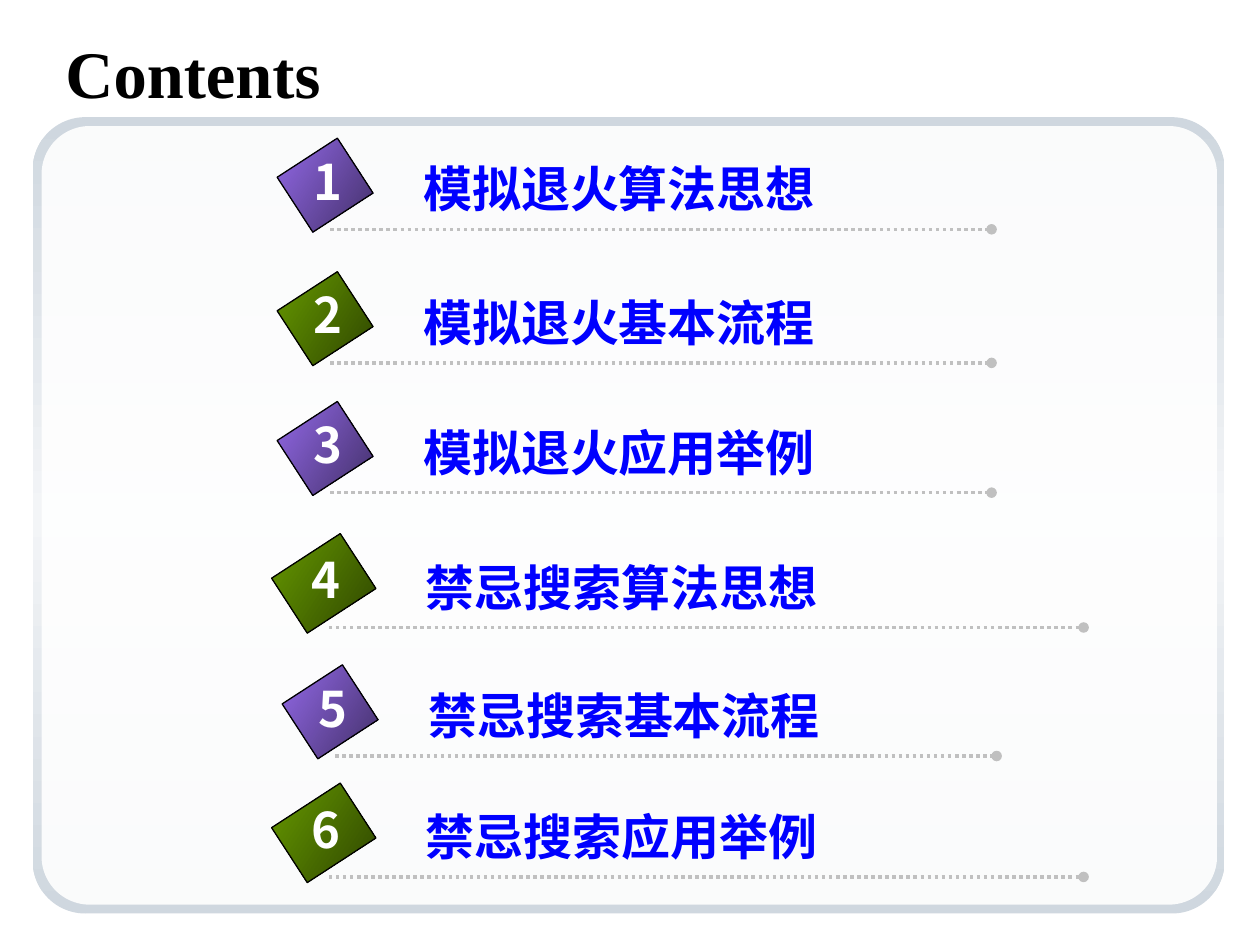
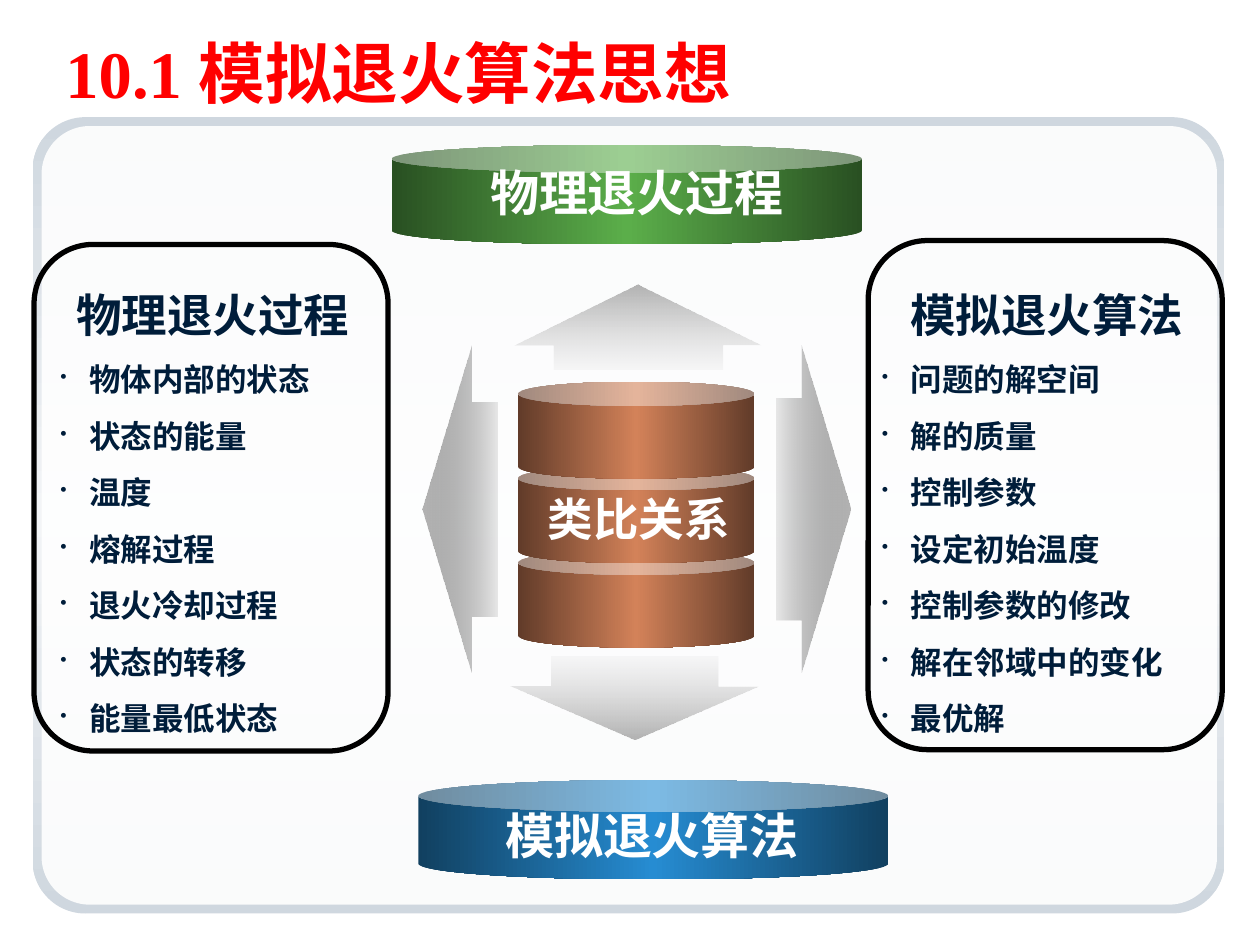
import pptx
import pptx.util
import pptx.dml.color
import pptx.enum.dml
import pptx.enum.shapes
import pptx.enum.text
import pptx.oxml
import pptx.oxml.ns
from lxml import etree

Inches = pptx.util.Inches
Pt = pptx.util.Pt
SHAPE = pptx.enum.shapes.MSO_SHAPE
ALIGN = pptx.enum.text.PP_ALIGN
ANCHOR = pptx.enum.text.MSO_ANCHOR
qn = pptx.oxml.ns.qn

COLORS = {
    "black": "000000",
    "white": "FFFFFF",
    "red": "FF0000",
    "blue": "0000FF",
    "navy": "001D3A",
    "rule": "C0C0C0",
}
GRADIENTS = {
    "frame": [(0, "CFD7DF", 100), (50, "F3F5F7", 100), (100, "CFD7DF", 100)],
    "veil": [(0, "FFFFFF", 90), (100, "FFFFFF", 90)],
    "purple": [(0, "9369E7", 100), (100, "43306A", 100)],
    "olive": [(0, "669900", 100), (100, "2F4600", 100)],
    "green": [(0, "295022", 100), (50, "5BAE4A", 100), (100, "295022", 100)],
    "ocean": [(0, "114060", 100), (50, "268CD2", 100), (100, "114060", 100)],
    "copper": [(0, "613B29", 100), (50, "D38259", 100), (100, "613B29", 100)],
    "fade_in": [(0, "CDCDCD", 12), (100, "B2B2B2", 100)],
    "fade_out": [(0, "B2B2B2", 100), (100, "CDCDCD", 12)],
    "dark_fade_in": [(0, "525252", 12), (100, "B2B2B2", 100)],
    "dark_fade_out": [(0, "B2B2B2", 100), (100, "525252", 12)],
}
CJK_FONT = "Noto Sans CJK SC"

CONTENTS = [
    ("模拟退火算法思想", 2.62, 1.82),
    ("模拟退火基本流程", 2.62, 2.88),
    ("模拟退火应用举例", 2.62, 3.91),
    ("禁忌搜索算法思想", 2.61, 4.98),
    ("禁忌搜索基本流程", 2.66, 6.0),
    ("禁忌搜索应用举例", 2.61, 6.96),
]
WIDE_ROWS = (4, 6)

PHYSICAL = ["物体内部的状态", "状态的能量", "温度", "熔解过程",
            "退火冷却过程", "状态的转移", "能量最低状态"]
ALGORITHM = ["问题的解空间", "解的质量", "控制参数", "设定初始温度",
             "控制参数的修改", "解在邻域中的变化", "最优解"]


def rgb(name):
    return pptx.dml.color.RGBColor.from_string(COLORS[name])


def apply_format(target, values):
    for key, value in values.items():
        setattr(target, key, value)


class Builder:
    def __init__(self):
        self.deck = pptx.Presentation()
        self.deck.slide_width = Inches(10)
        self.deck.slide_height = Inches(7.5)
        self.page = None

    def new_page(self, title, color):
        self.page = self.deck.slides.add_slide(self.deck.slide_layouts[6])
        self.shape(SHAPE.ROUNDED_RECTANGLE, (0.26, 0.93, 9.46, 6.32),
                   "frame", 90, [0.066])
        self.shape(SHAPE.ROUNDED_RECTANGLE, (0.33, 1, 9.33, 6.18),
                   "veil", 90, [0.062])
        self.label(title, (0.52, 0.26, 9.13, 0.62), 38, color,
                   "Times New Roman", ALIGN.LEFT)

    def shape(self, kind, place, gradient=None, angle=0, adjustments=(),
              line_width=None, rotation=0):
        shape = self.page.shapes.add_shape(kind, *map(Inches, place))
        shape.shadow.inherit = False
        shape.rotation = rotation
        for index, value in enumerate(adjustments):
            shape.adjustments[index] = value
        shape.fill.background()
        if gradient:
            self.paint(shape, GRADIENTS[gradient], angle)
        if line_width:
            shape.line.color.rgb = rgb("black")
            shape.line.width = Pt(line_width)
        else:
            shape.line.fill.background()
        return shape

    def paint(self, shape, stops, angle):
        marks = "".join(
            f'<a:gs pos="{position * 1000}"><a:srgbClr val="{color}">'
            f'<a:alpha val="{alpha * 1000}"/></a:srgbClr></a:gs>'
            for position, color, alpha in stops)
        gradient = pptx.oxml.parse_xml(
            f'<a:gradFill {pptx.oxml.ns.nsdecls("a")} rotWithShape="0">'
            f'<a:gsLst>{marks}</a:gsLst>'
            f'<a:lin ang="{angle * 60000}" scaled="0"/></a:gradFill>')
        properties = shape._element.spPr
        properties.replace(properties.find(qn("a:noFill")), gradient)

    def text_box(self, place, anchor, margin=0):
        box = self.page.shapes.add_textbox(*map(Inches, place))
        apply_format(box.text_frame, {
            "word_wrap": True, "vertical_anchor": anchor,
            "margin_left": Inches(margin), "margin_right": Inches(margin),
            "margin_top": Inches(0.05), "margin_bottom": Inches(0.05)})
        return box.text_frame

    def add_span(self, para, text, size, color, font, east_font):
        span = para.add_run()
        span.text = text
        apply_format(span.font, {"size": Pt(size), "bold": True, "name": font})
        span.font.color.rgb = rgb(color)
        latin = span._r.rPr.find(qn("a:latin"))
        east = etree.Element(qn("a:ea"), typeface=east_font)
        latin.addnext(east)

    def label(self, text, place, size=28, color="white", font=CJK_FONT,
              align=ALIGN.CENTER):
        frame = self.text_box(place, ANCHOR.MIDDLE)
        para = frame.paragraphs[0]
        para.alignment = align
        self.add_span(para, text, size, color, font, CJK_FONT)

    def bullet_list(self, heading, items, place):
        frame = self.text_box(place, ANCHOR.TOP, 0.1)
        font = "DejaVu Sans"
        para = frame.paragraphs[0]
        para.alignment = ALIGN.CENTER
        self.add_span(para, heading, 26, "navy", font, font)
        for item in items:
            para = frame.add_paragraph()
            para.line_spacing = Pt(32.3)
            properties = para._p.get_or_add_pPr()
            properties.set("marL", str(Inches(0.23)))
            properties.set("indent", str(-Inches(0.23)))
            color = etree.SubElement(properties, qn("a:buClr"))
            etree.SubElement(color, qn("a:srgbClr"), val=COLORS["navy"])
            etree.SubElement(properties, qn("a:buSzPct"), val="60000")
            etree.SubElement(properties, qn("a:buChar"), char="•")
            self.add_span(para, item, 18, "navy", font, font)

    def dotted_rule(self, left, right, top):
        rule = self.page.shapes.add_connector(
            pptx.enum.shapes.MSO_CONNECTOR.STRAIGHT,
            Inches(left), Inches(top), Inches(right), Inches(top))
        rule.line.color.rgb = rgb("rule")
        apply_format(rule.line, {
            "width": Pt(2),
            "dash_style": pptx.enum.dml.MSO_LINE.ROUND_DOT})
        properties = rule._element.spPr
        etree.SubElement(properties.find(qn("a:ln")), qn("a:tailEnd"), type="oval")
        etree.SubElement(properties, qn("a:effectLst"))

    def contents_row(self, number, text, left, top):
        wide = number in WIDE_ROWS
        height = 0.65 if wide else 0.57
        self.dotted_rule(left, 8.6 if wide else left + 5.25, top)
        self.shape(SHAPE.RECTANGLE,
                   (left - 0.3, top - 0.35 - height / 2, 0.52, height),
                   "purple" if number % 2 else "olive", 33,
                   line_width=0.75, rotation=57)
        self.label(text, (left + (0.77 if wide else 0.74), top - 0.61, 3.4, 0.57),
                   color="blue", align=ALIGN.LEFT)
        self.label(str(number), (left - 0.23, top - 0.67, 0.42, 0.57))


def build_contents(builder):
    builder.new_page("Contents", "black")
    for number, (text, left, top) in enumerate(CONTENTS, 1):
        builder.contents_row(number, text, left, top)


def build_analogy(builder):
    builder.new_page("10.1 模拟退火算法思想", "red")
    cards = [
        ("物理退火过程", PHYSICAL, (0.27, 1.94, 2.81, 4.02), (0.38, 2.23, 2.62, 3.99)),
        ("模拟退火算法", ALGORITHM, (6.89, 1.91, 2.81, 4.04), (6.9, 2.23, 2.82, 3.99)),
    ]
    for heading, items, outline, text_place in cards:
        builder.shape(SHAPE.ROUNDED_RECTANGLE, outline,
                      adjustments=[0.167], line_width=3)
        builder.bullet_list(heading, items, text_place)

    drums = [
        ("物理退火过程", (3.11, 1.15, 3.73, 0.79), 0.279, "green", (3.79, 1.24)),
        ("模拟退火算法", (3.32, 6.19, 3.73, 0.79), 0.32, "ocean", (3.91, 6.34)),
    ]
    for text, place, depth, gradient, corner in drums:
        builder.shape(SHAPE.CAN, place, gradient, 180, [depth])
        builder.label(text, (*corner, 2.53, 0.57), font="Arial")

    for step in range(3):
        builder.shape(SHAPE.CAN, (4.11, 4.37 - 0.67 * step, 1.88, 0.77),
                      "copper", 180, [0.25])
    arrows = [
        (SHAPE.DOWN_ARROW, (4.05, 5.21, 1.97, 0.66), "fade_in", 90, (0.671, 0.641)),
        (SHAPE.LEFT_ARROW, (3.35, 2.74, 0.6, 2.6), "dark_fade_in", 180, (0.656, 0.652)),
        (SHAPE.RIGHT_ARROW, (6.16, 2.74, 0.59, 2.6), "dark_fade_out", 180, (0.677, 0.662)),
        (SHAPE.UP_ARROW, (4.08, 2.26, 1.96, 0.67), "fade_out", 90, (0.684, 0.708)),
    ]
    for arrow in arrows:
        builder.shape(*arrow)
    builder.label("类比关系", (4.25, 3.84, 1.64, 0.54), 26, font="Arial")


def main():
    builder = Builder()
    build_contents(builder)
    build_analogy(builder)
    builder.deck.save("out.pptx")


if __name__ == "__main__":
    main()
